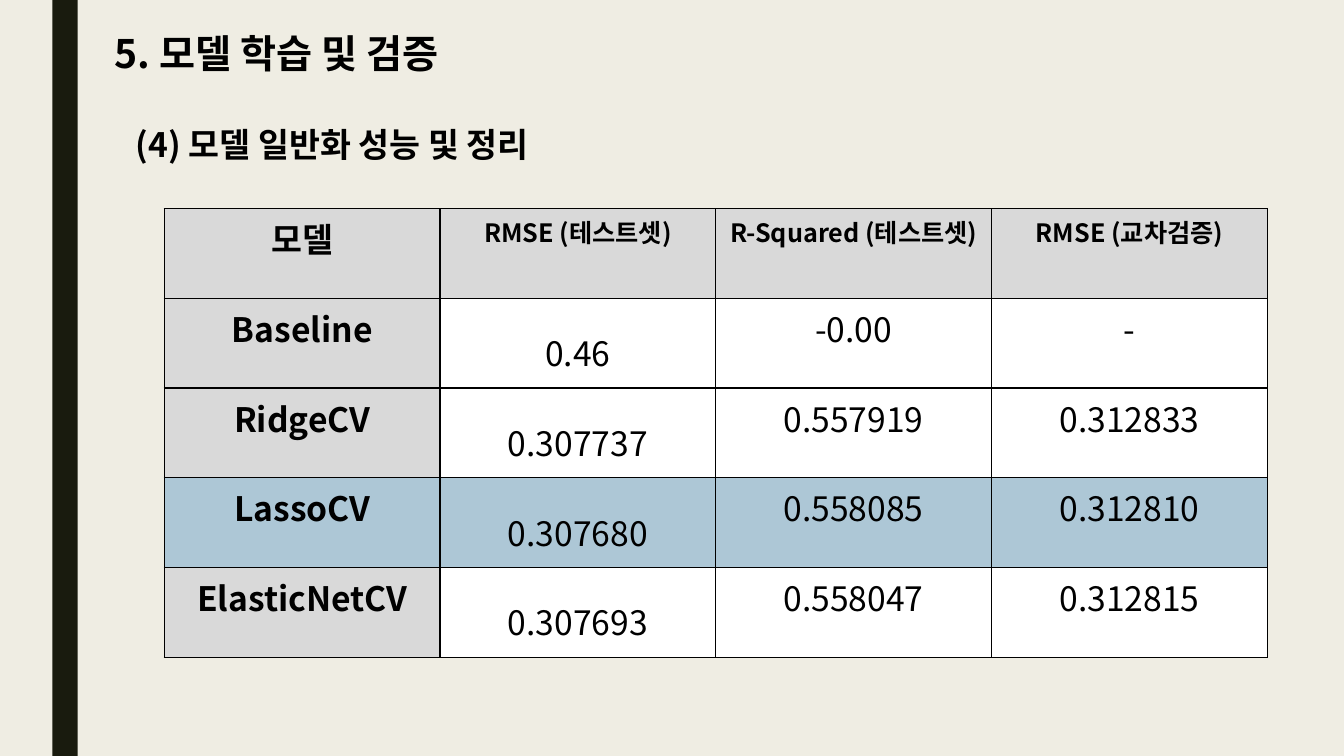
from lxml.etree import SubElement
from pptx import Presentation
from pptx.dml.color import RGBColor
from pptx.enum.shapes import MSO_SHAPE
from pptx.enum.text import MSO_AUTO_SIZE, PP_ALIGN
from pptx.oxml import parse_xml
from pptx.oxml.ns import nsdecls, qn
from pptx.util import Inches, Pt

THEME = {
    "font": "Noto Sans CJK KR",
    "background": RGBColor.from_string("EFEDE3"),
    "side_bar": RGBColor.from_string("191B0E"),
    "ink": RGBColor.from_string("000000"),
    "label": RGBColor.from_string("D9D9D9"),
    "value": RGBColor.from_string("FFFFFF"),
    "best": RGBColor.from_string("ADC7D6"),
    "title_size": Pt(28),
    "body_size": Pt(24),
    "metric_size": Pt(18),
    "border": Pt(1),
}


def write(frame, text, size, bold=True, align=None, line_spacing=None):
    paragraph = frame.paragraphs[0]
    paragraph.alignment = align
    paragraph.line_spacing = line_spacing
    run = paragraph.add_run()
    run.text = text
    for name, value in {"name": THEME["font"], "size": size, "bold": bold}.items():
        setattr(run.font, name, value)
    run.font.color.rgb = THEME["ink"]
    # East Asian glyphs take their typeface from a separate element
    SubElement(run.font._element, qn("a:ea"), typeface=THEME["font"])


def add_borders(cell):
    properties = cell._tc.get_or_add_tcPr()
    for position, side in enumerate(("lnL", "lnR", "lnT", "lnB")):
        properties.insert(position, parse_xml(
            f'<a:{side} {nsdecls("a")} w="{THEME["border"]}"><a:solidFill>'
            f'<a:srgbClr val="{THEME["ink"]}"/></a:solidFill></a:{side}>'))


deck = Presentation()
deck.slide_width, deck.slide_height = Inches(13.33), Inches(7.5)
slide = deck.slides.add_slide(deck.slide_layouts[6])
slide.background.fill.solid()
slide.background.fill.fore_color.rgb = THEME["background"]

side_bar = slide.shapes.add_shape(
    MSO_SHAPE.RECTANGLE, Inches(0.52), 0, Inches(0.25), deck.slide_height)
side_bar.shadow.inherit = False
side_bar.fill.solid()
side_bar.fill.fore_color.rgb = THEME["side_bar"]
side_bar.line.fill.background()

headings = [
    ("5. 모델 학습 및 검증", (1.04, 0.24, 3.84, 0.57), THEME["title_size"], False, None),
    ("(4) 모델 일반화 성능 및 정리", (1.25, 0.98, 11.44, 0.63), THEME["body_size"], True, 1.5),
]
for text, box, size, wrap, line_spacing in headings:
    frame = slide.shapes.add_textbox(*map(Inches, box)).text_frame
    frame.word_wrap = wrap
    frame.auto_size = MSO_AUTO_SIZE.SHAPE_TO_FIT_TEXT
    write(frame, text, size, line_spacing=line_spacing)

results = [
    ("모델", "RMSE (테스트셋)", "R-Squared (테스트셋)", "RMSE (교차검증)"),
    ("Baseline", "0.46", "-0.00", "-"),
    ("RidgeCV", "0.307737", "0.557919", "0.312833"),
    ("LassoCV", "0.307680", "0.558085", "0.312810"),
    ("ElasticNetCV", "0.307693", "0.558047", "0.312815"),
]
best_model = "LassoCV"
score_table = slide.shapes.add_table(
    len(results), len(results[0]),
    Inches(1.63), Inches(2.07), Inches(10.94), Inches(4.45)).table

for row, scores in enumerate(results):
    for column, text in enumerate(scores):
        cell = score_table.cell(row, column)
        is_label = row == 0 or column == 0
        is_metric = row == 0 and column > 0
        fill = "best" if scores[0] == best_model else "label" if is_label else "value"
        cell.fill.solid()
        cell.fill.fore_color.rgb = THEME[fill]
        add_borders(cell)
        write(cell.text_frame, text,
              THEME["metric_size" if is_metric else "body_size"],
              bold=is_label, align=PP_ALIGN.CENTER,
              line_spacing=1.5 if row > 0 and column == 1 else None)

deck.save("out.pptx")
